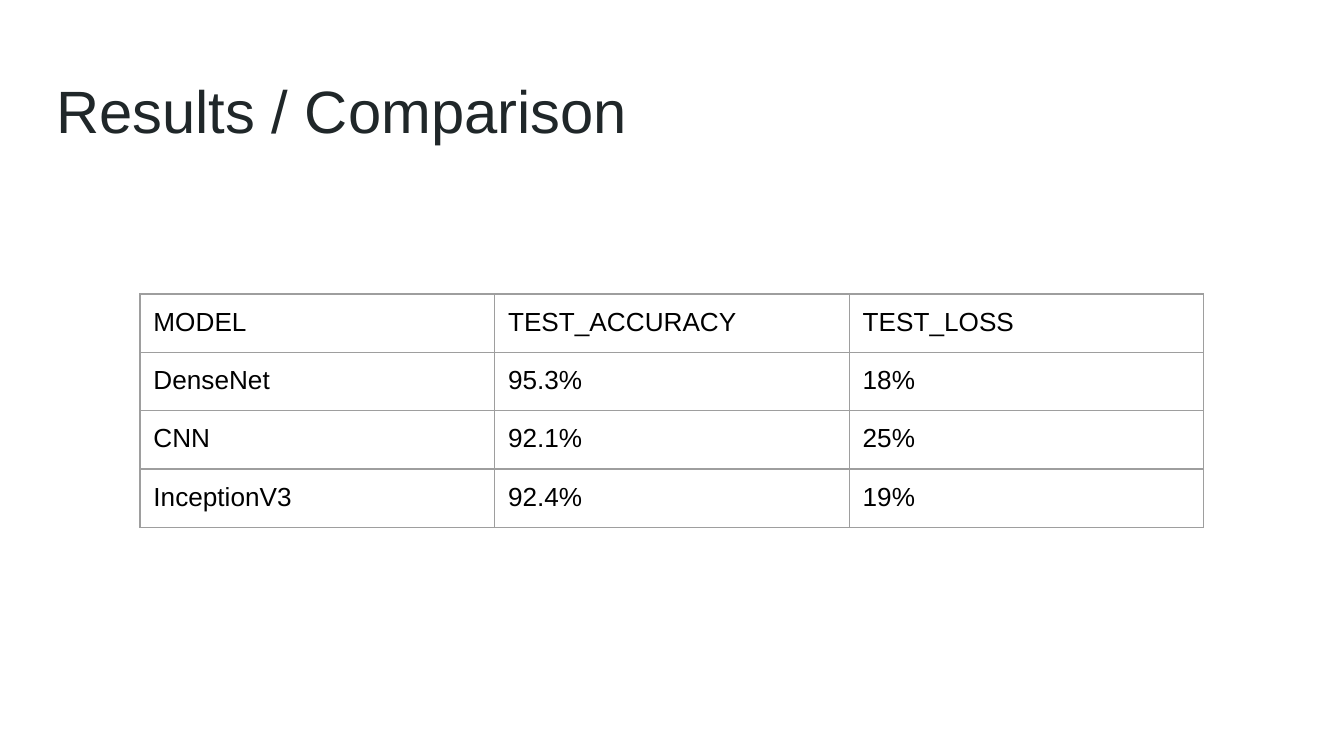
"""Build the slide comparing test accuracy and loss of three models."""
from dataclasses import dataclass

from lxml.etree import SubElement
from pptx import Presentation
from pptx.dml.color import RGBColor
from pptx.enum.text import MSO_ANCHOR
from pptx.oxml.ns import qn
from pptx.util import Pt


@dataclass(frozen=True)
class Theme:
    font: str = "Arial"
    title_color: str = "202729"
    text_color: str = "000000"
    border_color: str = "9E9E9E"
    title_size: float = 32
    text_size: float = 14
    border_width: float = 0.75
    inset: float = 7.2


theme = Theme()


def style_text(para, size, color):
    para.font.name = theme.font
    para.font.size = Pt(size)
    para.font.color.rgb = RGBColor.from_string(color)


def add_borders(cell):
    properties = cell._tc.get_or_add_tcPr()
    for side in ("a:lnL", "a:lnR", "a:lnT", "a:lnB"):
        line = SubElement(properties, qn(side), w=str(Pt(theme.border_width)))
        fill = SubElement(line, qn("a:solidFill"))
        SubElement(fill, qn("a:srgbClr"), val=theme.border_color)


deck = Presentation()
deck.slide_width, deck.slide_height = Pt(720), Pt(405)
page = deck.slides.add_slide(deck.slide_layouts[6])

title_box = page.shapes.add_textbox(Pt(23), Pt(33), Pt(674.6), Pt(52))
title_frame = title_box.text_frame
title_frame.word_wrap = True
title_frame.vertical_anchor = MSO_ANCHOR.MIDDLE
title_frame.margin_left = title_frame.margin_right = Pt(theme.inset)
title_frame.margin_top = title_frame.margin_bottom = Pt(theme.inset)
title_frame.text = "Results / Comparison"
style_text(title_frame.paragraphs[0], theme.title_size, theme.title_color)

results = [
    ("MODEL", "TEST_ACCURACY", "TEST_LOSS"),
    ("DenseNet", "95.3%", "18%"),
    ("CNN", "92.1%", "25%"),
    ("InceptionV3", "92.4%", "19%"),
]
column_width, row_height = 190, 30
row_count, column_count = len(results), len(results[0])
table = page.shapes.add_table(
    row_count, column_count, Pt(75), Pt(157.5),
    Pt(column_width * column_count), Pt(row_height * row_count),
).table
table.first_row = False
table.horz_banding = False

for row_index, values in enumerate(results):
    for column_index, value in enumerate(values):
        cell = table.cell(row_index, column_index)
        cell.text = value
        cell.margin_left = cell.margin_right = Pt(theme.inset)
        cell.margin_top = cell.margin_bottom = Pt(theme.inset)
        style_text(cell.text_frame.paragraphs[0], theme.text_size, theme.text_color)
        add_borders(cell)
        cell.fill.background()

deck.save("out.pptx")
